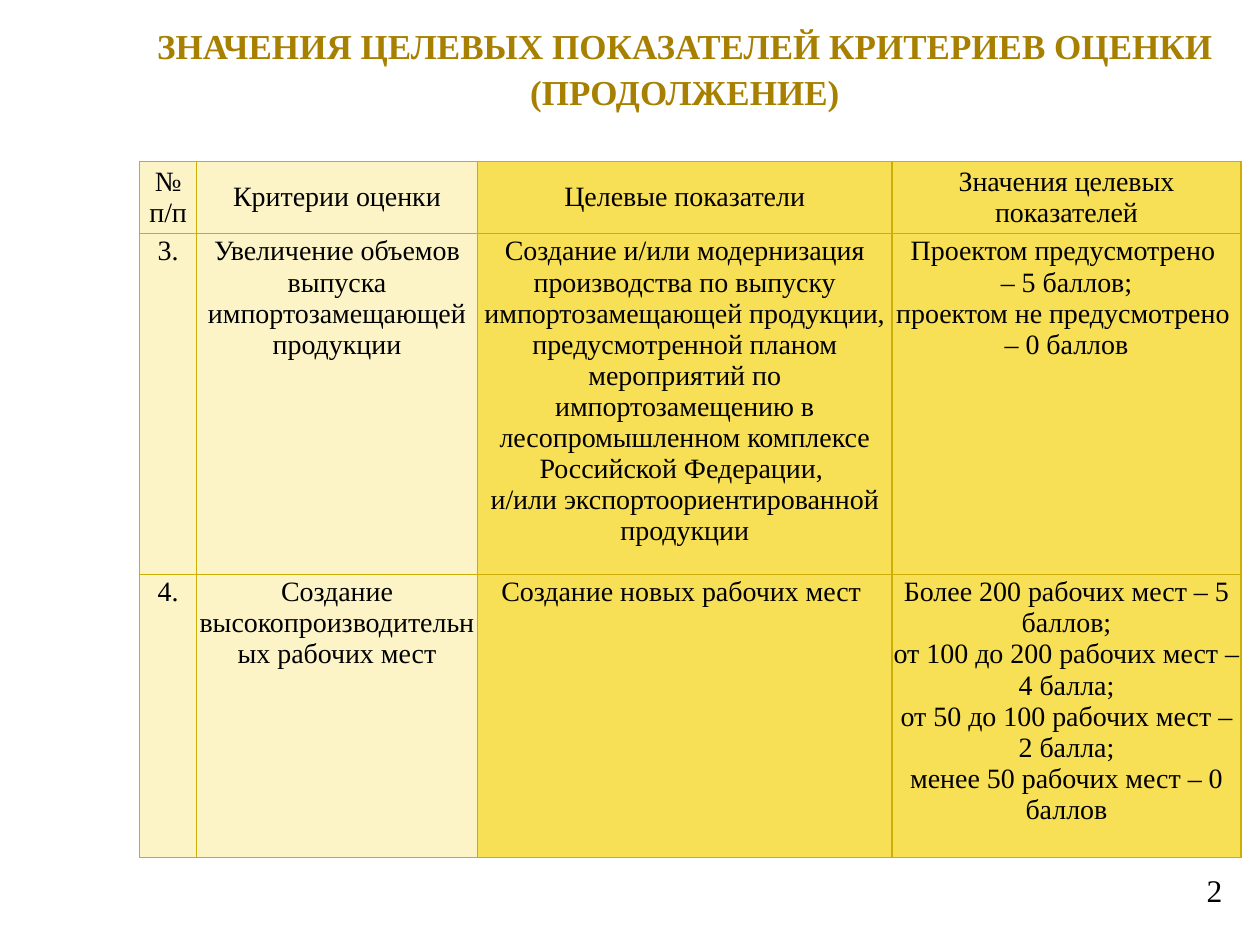
from lxml.etree import SubElement
from pptx import Presentation
from pptx.dml.color import RGBColor
from pptx.enum.text import MSO_ANCHOR, PP_ALIGN
from pptx.oxml.ns import qn
from pptx.util import Inches, Pt

FONT = "Times New Roman"
GOLD, BLACK = "A88000", "000000"
PALE, YELLOW, BORDER = "FCF4C7", "F7DF56", "CCAE05"
COLUMNS = [0.45, 2.23, 3.29, 2.77]
ROWS = [0.55, 2.62, 2.25]
COLUMN_FILLS = [PALE, PALE, YELLOW, YELLOW]
CRITERIA = [
    ["№ п/п", "Критерии оценки", "Целевые показатели", "Значения целевых показателей"],
    [
        "3.",
        "Увеличение объемов выпуска импортозамещающей продукции",
        "Создание и/или модернизация производства по выпуску "
        "импортозамещающей продукции, предусмотренной планом мероприятий "
        "по импортозамещению в лесопромышленном комплексе Российской Федерации, \n"
        "и/или экспортоориентированной продукции",
        "Проектом предусмотрено \n– 5 баллов;\nпроектом не предусмотрено \n– 0 баллов",
    ],
    [
        "4.",
        "Создание высокопроизводительных рабочих мест",
        "Создание новых рабочих мест ",
        "Более 200 рабочих мест – 5 баллов;\n"
        "от 100 до 200 рабочих мест – 4 балла;\n"
        "от 50 до 100 рабочих мест – 2 балла;\n"
        "менее 50 рабочих мест – 0 баллов",
    ],
]


def color(value):
    return RGBColor.from_string(value)


def apply(target, values):
    for name, value in values.items():
        setattr(target, name, value)


def write(frame, text, size, align, ink=BLACK, bold=False, spacing=None):
    frame.word_wrap = True
    frame.text = text
    for paragraph in frame.paragraphs:
        apply(paragraph, {"alignment": align, "line_spacing": spacing})
        for run in paragraph.runs:
            apply(run.font, {"name": FONT, "size": Pt(size), "bold": bold})
            run.font.color.rgb = color(ink)


def margins(horizontal, vertical):
    return {
        "margin_left": Inches(horizontal),
        "margin_right": Inches(horizontal),
        "margin_top": Inches(vertical),
        "margin_bottom": Inches(vertical),
    }


def add_title(slide, box):
    heading = slide.shapes.add_textbox(*map(Inches, box)).text_frame
    apply(heading, margins(0.02, 0.05))
    write(heading, "ЗНАЧЕНИЯ ЦЕЛЕВЫХ ПОКАЗАТЕЛЕЙ КРИТЕРИЕВ ОЦЕНКИ (ПРОДОЛЖЕНИЕ)",
          20, PP_ALIGN.CENTER, GOLD, True, 1.08)


def add_page_number(slide, box):
    number = slide.shapes.add_textbox(*map(Inches, box)).text_frame
    write(number, "2", 18, PP_ALIGN.RIGHT)


def add_borders(cell):
    properties = cell._tc.get_or_add_tcPr()
    for position, side in enumerate(("a:lnL", "a:lnR", "a:lnT", "a:lnB")):
        line = properties.makeelement(qn(side), {"w": str(Pt(0.75))})
        properties.insert(position, line)
        fill = SubElement(line, qn("a:solidFill"))
        SubElement(fill, qn("a:srgbClr"), val=BORDER)


def add_criteria(slide, box):
    table = slide.shapes.add_table(len(ROWS), len(COLUMNS), *map(Inches, box)).table
    for column, width in zip(table.columns, COLUMNS):
        column.width = Inches(width)
    for row, height in zip(table.rows, ROWS):
        row.height = Inches(height)
    for row_index, entries in enumerate(CRITERIA):
        anchor = MSO_ANCHOR.TOP if row_index else MSO_ANCHOR.MIDDLE
        for column_index, entry in enumerate(entries):
            cell = table.cell(row_index, column_index)
            apply(cell, {**margins(0.01, 0.02), "vertical_anchor": anchor})
            cell.fill.solid()
            cell.fill.fore_color.rgb = color(COLUMN_FILLS[column_index])
            write(cell.text_frame, entry, 16, PP_ALIGN.CENTER)
            add_borders(cell)


def main():
    deck = Presentation()
    apply(deck, {"slide_width": Inches(10), "slide_height": Inches(7.5)})
    slide = deck.slides.add_slide(deck.slide_layouts[6])
    add_title(slide, (1.07, 0.12, 8.73, 1.25))
    add_page_number(slide, (7.47, 6.86, 2.33, 0.52))
    add_criteria(slide, (1.11, 1.28, sum(COLUMNS), sum(ROWS)))
    deck.save("out.pptx")


if __name__ == "__main__":
    main()
